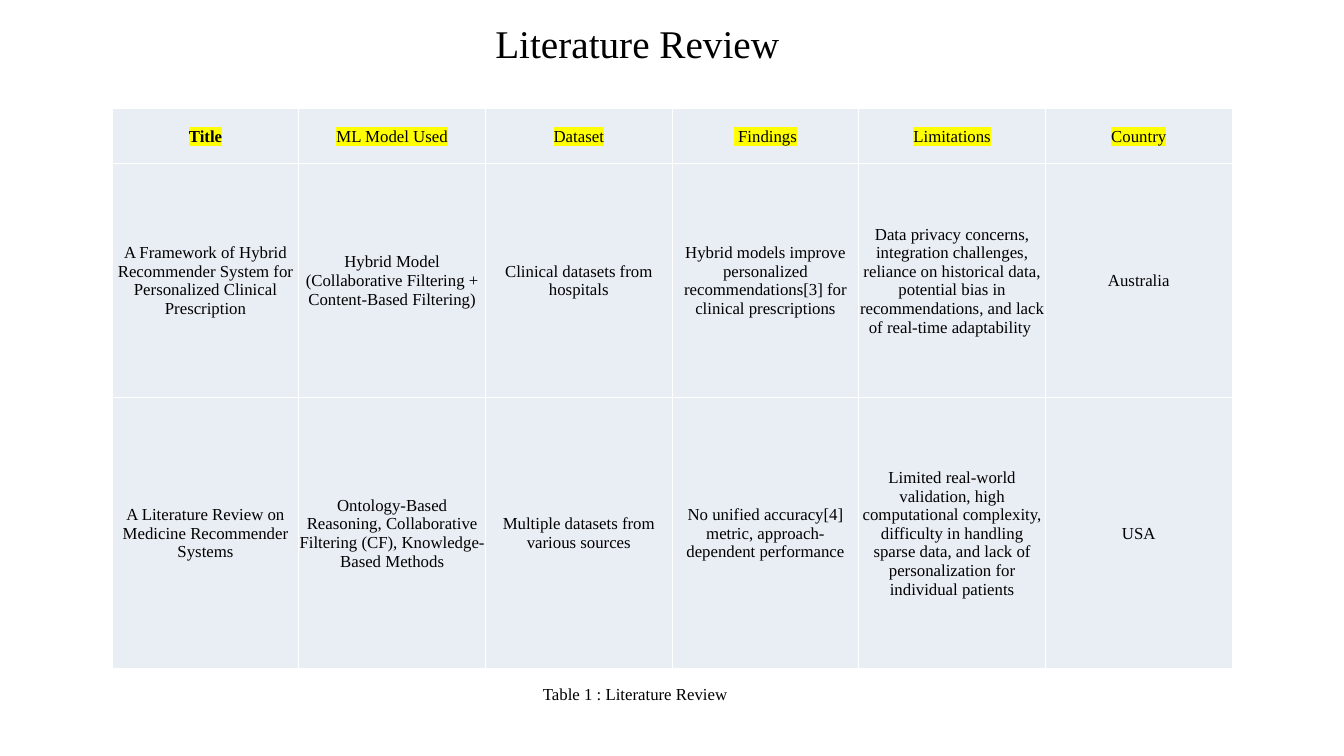
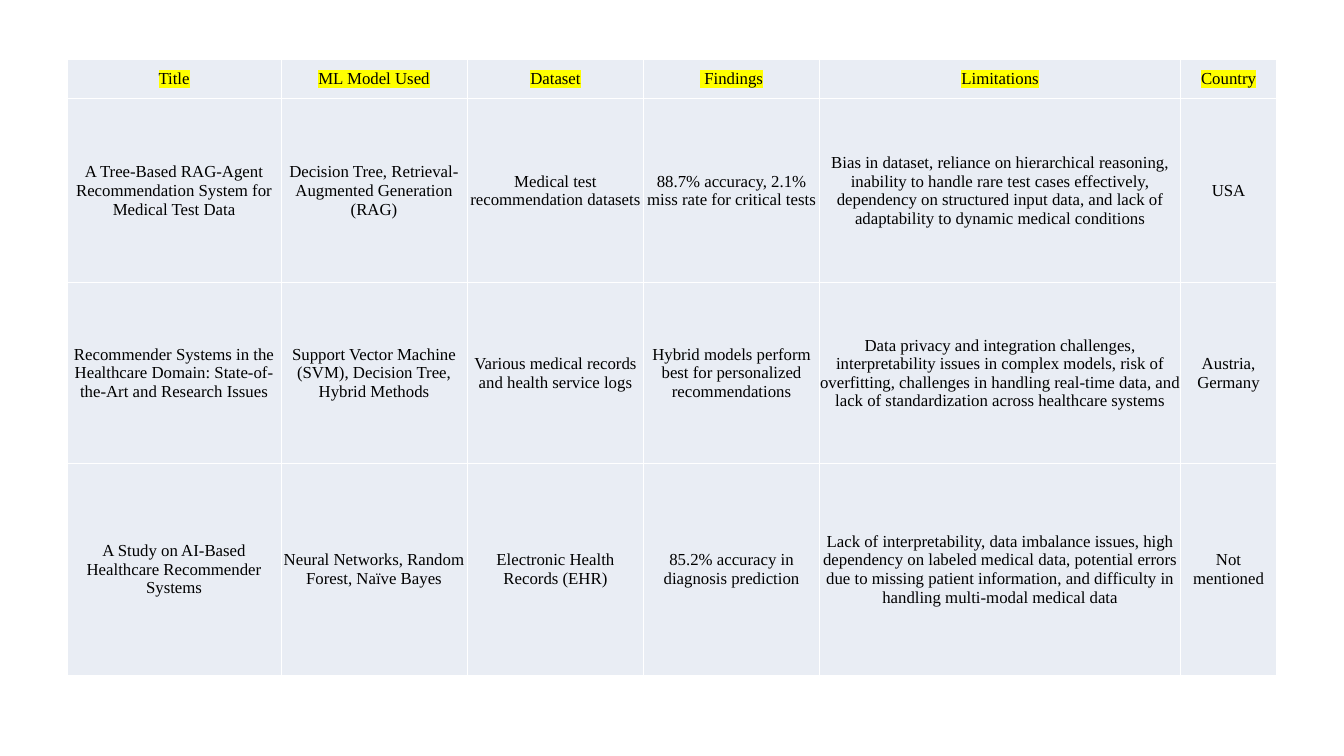
from lxml import etree
from pptx import Presentation
from pptx.dml.color import RGBColor
from pptx.enum import text as t
from pptx.oxml import ns
from pptx.util import Pt

# Shared look
COLORS = {"ink": "000000", "cell": "E9EDF4", "rule": "FFFFFF", "mark": "FFFF00"}
FONT = "Times New Roman"
BODY_SIZE, TITLE_SIZE = 18, 42
CELL_INSET, BOX_INSET = 0.72, 7.2
RULE_WIDTH = 1

# Content
HEADINGS = ["Title", "ML Model Used", "Dataset", " Findings", "Limitations", "Country"]

# Each text: wording, left, top, width, height, indent, size
TITLE = ("Literature Review", 282, 17.3, 846, 58.3, 241.5, TITLE_SIZE)
CAPTION = ("Table 1 : Literature Review", 444, 728.6, 414, 28.8, 130.5, BODY_SIZE)

REVIEWS = [
    {
        "corner": (120.2, 116.6),
        "columns": [200] * 6,
        "rows": [58.3, 251.3, 290.2],
        "bold_title": True,
        "texts": [TITLE, CAPTION],
        "papers": [
            ("A Framework of Hybrid Recommender System for Personalized Clinical Prescription",
             "Hybrid Model (Collaborative Filtering + Content-Based Filtering)",
             "Clinical datasets from hospitals",
             "Hybrid models improve personalized recommendations[3] for clinical prescriptions",
             "Data privacy concerns, integration challenges, reliance on historical data, "
             "potential bias in recommendations, and lack of real-time adaptability ",
             "Australia"),
            ("A Literature Review on Medicine Recommender Systems",
             "Ontology-Based Reasoning, Collaborative Filtering (CF), Knowledge-Based Methods",
             "Multiple datasets from various sources",
             "No unified accuracy[4] metric, approach-dependent performance",
             "Limited real-world validation, high computational complexity, difficulty in "
             "handling sparse data, and lack of personalization for individual patients",
             "USA"),
        ],
    },
    {
        "corner": (72, 63.2),
        "columns": [229, 199.5, 189.4, 188, 387.4, 102.2],
        "rows": [41.8, 198, 193, 227.5],
        "bold_title": False,
        "texts": [],
        "papers": [
            ("A Tree-Based RAG-Agent Recommendation System for Medical Test Data",
             "Decision Tree, Retrieval-Augmented Generation (RAG)",
             "Medical test recommendation datasets",
             "88.7% accuracy, 2.1% miss rate for critical tests",
             "Bias in dataset, reliance on hierarchical reasoning, inability to handle rare "
             "test cases effectively, dependency on structured input data, and lack of "
             "adaptability to dynamic medical conditions",
             "USA"),
            ("Recommender Systems in the Healthcare Domain: State-of-the-Art and Research Issues",
             "Support Vector Machine (SVM), Decision Tree, Hybrid Methods",
             "Various medical records and health service logs",
             "Hybrid models perform best for personalized recommendations",
             "Data privacy and integration challenges, interpretability issues in complex "
             "models, risk of overfitting, challenges in handling real-time data, and lack "
             "of standardization across healthcare systems",
             "Austria, Germany"),
            ("A Study on AI-Based Healthcare Recommender Systems",
             "Neural Networks, Random Forest, Naïve Bayes",
             "Electronic Health Records (EHR)",
             "85.2% accuracy in diagnosis prediction",
             "Lack of interpretability, data imbalance issues, high dependency on labeled "
             "medical data, potential errors due to missing patient information, and "
             "difficulty in handling multi-modal medical data",
             "Not mentioned"),
        ],
    },
]


def write(frame, wording, size=BODY_SIZE, bold=False, align=None, mark=None):
    paragraph = frame.paragraphs[0]
    paragraph.alignment = align
    run = paragraph.add_run()
    run.text = wording
    run.font.name, run.font.size, run.font.bold = FONT, Pt(size), bold
    run.font.color.rgb = RGBColor.from_string(COLORS["ink"])
    if mark:
        highlight = etree.Element(ns.qn("a:highlight"))
        etree.SubElement(highlight, ns.qn("a:srgbClr"), val=mark)
        run.font._element.find(ns.qn("a:solidFill")).addnext(highlight)


def add_text(slide, wording, left, top, width, height, indent, size):
    box = slide.shapes.add_textbox(Pt(left), Pt(top), Pt(width), Pt(height))
    frame = box.text_frame
    frame.word_wrap = True
    frame.margin_left = Pt(BOX_INSET + indent)
    write(frame, wording, size=size)


def rule_cell(cell):
    properties = cell._tc.get_or_add_tcPr()
    for place, side in enumerate(("lnL", "lnR", "lnT", "lnB")):
        line = etree.Element(ns.qn(f"a:{side}"), w=str(Pt(RULE_WIDTH)))
        fill = etree.SubElement(line, ns.qn("a:solidFill"))
        etree.SubElement(fill, ns.qn("a:srgbClr"), val=COLORS["rule"])
        properties.insert(place, line)


def add_review(slide, review):
    columns, rows = review["columns"], review["rows"]
    left, top = review["corner"]
    grid = slide.shapes.add_table(len(rows), len(columns), Pt(left), Pt(top),
                                  Pt(sum(columns)), Pt(sum(rows))).table
    grid.first_row = grid.horz_banding = False
    for column, width in zip(grid.columns, columns):
        column.width = Pt(width)
    for row, height in zip(grid.rows, rows):
        row.height = Pt(height)
    for r, entries in enumerate([HEADINGS, *review["papers"]]):
        for c, entry in enumerate(entries):
            cell = grid.cell(r, c)
            cell.fill.solid()
            cell.fill.fore_color.rgb = RGBColor.from_string(COLORS["cell"])
            cell.vertical_anchor = t.MSO_ANCHOR.MIDDLE
            cell.margin_left = cell.margin_right = cell.margin_top = Pt(CELL_INSET)
            cell.margin_bottom = 0
            rule_cell(cell)
            write(cell.text_frame, entry, align=t.PP_ALIGN.CENTER,
                  bold=review["bold_title"] and r == c == 0,
                  mark=COLORS["mark"] if r == 0 else None)


def main():
    deck = Presentation()
    deck.slide_width, deck.slide_height = Pt(1440), Pt(810)
    for review in REVIEWS:
        slide = deck.slides.add_slide(deck.slide_layouts[6])
        add_review(slide, review)
        for part in review["texts"]:
            add_text(slide, *part)
    deck.save("out.pptx")


if __name__ == "__main__":
    main()
